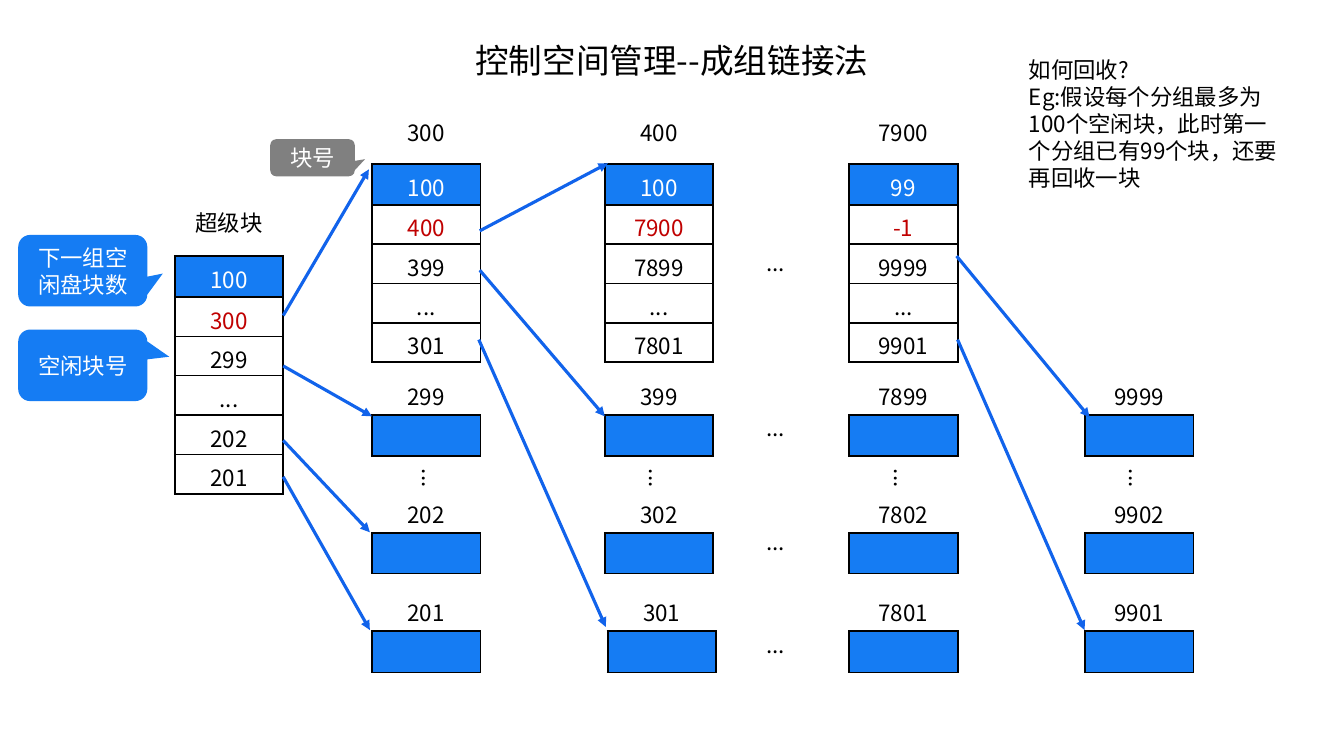
from dataclasses import dataclass

from lxml import etree
from pptx import Presentation
from pptx import util as u
from pptx.dml import color
from pptx.enum import shapes, text
from pptx.oxml import ns

FONT = "Noto Sans CJK SC"
BLUE, LINE, RED = "157CF3", "1163EB", "C00000"
GREY, BLACK, WHITE = "808080", "000000", "FFFFFF"
WIDE, HEAD, ROW = 77.5, 29.2, 28.1  # column width, first row, other rows
TOP = 117.2  # top of the index blocks


@dataclass
class Block:
    x: float
    y: float
    cells: list[str]
    label: str
    gap: float  # from label top to block top


@dataclass
class Note:
    x: float
    y: float
    w: float
    h: float
    lines: list[str]
    size: float = 16
    align: text.PP_ALIGN = text.PP_ALIGN.CENTER
    turn: float = 0


@dataclass
class Bubble:
    x: float
    y: float
    w: float
    h: float
    words: str
    tip: tuple[float, float]
    fill: str = BLUE


@dataclass
class Arrow:
    x1: float
    y1: float
    x2: float
    y2: float


def rgb(code: str) -> color.RGBColor:
    return color.RGBColor.from_string(code)


def add(parent, tag: str, **attrs: str):
    return etree.SubElement(parent, ns.qn(tag), attrs)


def style(para, hue: str, size: float = 16, align=text.PP_ALIGN.CENTER) -> None:
    para.alignment = align
    font = para.font
    font.size, font.name = u.Pt(size), FONT
    font.color.rgb = rgb(hue)
    add(para._p.pPr.find(ns.qn("a:defRPr")), "a:ea", typeface=FONT)


def write(slide, note: Note) -> None:
    box = slide.shapes.add_textbox(*map(u.Pt, (note.x, note.y, note.w, note.h)))
    box.rotation = note.turn
    frame = box.text_frame
    frame.word_wrap = True
    frame.text = "\n".join(note.lines)
    for para in frame.paragraphs:
        style(para, BLACK, note.size, note.align)


def edge(cell, widths: dict[str, float]) -> None:
    """Draw the cell borders, given in schema order."""
    props = cell._tc.get_or_add_tcPr()
    for side, width in widths.items():
        line = add(props, f"a:ln{side}", w=str(u.Pt(width)))
        add(add(line, "a:solidFill"), "a:srgbClr", val=BLACK)


def stack(slide, block: Block) -> None:
    """Draw a block as a one-column table with its number above."""
    count = len(block.cells)
    high = HEAD + ROW * (count - 1)
    table = slide.shapes.add_table(
        count, 1, *map(u.Pt, (block.x, block.y, WIDE, high))).table
    table.first_row = table.horz_banding = False
    for i, value in enumerate(block.cells):
        table.rows[i].height = u.Pt(ROW if i else HEAD)
        cell = table.cell(i, 0)
        cell.text = value
        cell.margin_bottom = 0
        cell.vertical_anchor = text.MSO_ANCHOR.MIDDLE
        style(cell.text_frame.paragraphs[0], (WHITE, RED)[i] if i < 2 else BLACK)
        thick = count > 1 and (i < 2 or i == count - 1)
        edge(cell, {"L": 1.5, "R": 1.5, "T": 1.5 if i < 3 else 1,
                    "B": 1.5 if thick else 1})
        cell.fill.solid()
        cell.fill.fore_color.rgb = rgb(WHITE if i else BLUE)
    write(slide, Note(block.x - 7.4, block.y - block.gap, 92.2, 26.6, [block.label]))


def call(slide, bub: Bubble) -> None:
    shape = slide.shapes.add_shape(
        shapes.MSO_SHAPE.ROUNDED_RECTANGULAR_CALLOUT,
        *map(u.Pt, (bub.x, bub.y, bub.w, bub.h)))
    shape.adjustments[0], shape.adjustments[1] = bub.tip
    shape.shadow.inherit = False
    shape.fill.solid()
    shape.fill.fore_color.rgb = rgb(bub.fill)
    shape.line.fill.background()
    frame = shape.text_frame
    frame.word_wrap = True
    frame.vertical_anchor = text.MSO_ANCHOR.MIDDLE
    frame.text = bub.words
    style(frame.paragraphs[0], WHITE)


def link(slide, arrow: Arrow) -> None:
    line = slide.shapes.add_connector(
        shapes.MSO_CONNECTOR.STRAIGHT,
        *map(u.Pt, (arrow.x1, arrow.y1, arrow.x2, arrow.y2)))
    line.line.color.rgb = rgb(LINE)
    line.line.width = u.Pt(2.25)
    props = line._element.spPr
    add(props.find(ns.qn("a:ln")), "a:tailEnd", type="triangle")
    add(props, "a:effectLst")


COLS = [265.7, 432, 606.5, 775]
ROWS = [296.5, 380.7, 451]
INDEX = [
    ("300", ["100", "400", "399", "...", "301"]),
    ("400", ["100", "7900", "7899", "...", "7801"]),
    ("7900", ["99", "-1", "9999", "...", "9901"]),
]
FREE = [("299", "202", "201"), ("399", "302", "301"),
        ("7899", "7802", "7801"), ("9999", "9902", "9901")]

BLOCKS = [Block(124.8, 183, ["100", "300", "299", "...", "202", "201"], "超级块", 36.8)]
BLOCKS += [Block(x, TOP, cells, label, 35.8) for x, (label, cells) in zip(COLS, INDEX)]
BLOCKS += [Block(x + (2 if label == "301" else 0), y, [""], label, 26.5)
           for x, names in zip(COLS, FREE) for y, label in zip(ROWS, names)]

NOTES = [
    Note(329, 25.2, 301.7, 36, ["控制空间管理--成组链接法"], size=24),
    Note(727.9, 36.7, 200.2, 104.4,
         ["如何回收?", "Eg:假设每个分组最多为100个空闲块，此时第一个分组已有99个块，还要再回收一块"],
         align=text.PP_ALIGN.LEFT),
]
NOTES += [Note(537.8, y, 32.4, 26.6, ["..."]) for y in (174.2, 292.3, 373.7, 447.1)]
NOTES += [Note(x, 328.3, 32.4, 26.6, ["..."], turn=90)
          for x in (291.6, 454.3, 628.6, 797)]

BUBBLES = [
    Bubble(13, 167.8, 92.2, 51.1, "下一组空闲盘块数", (0.62, 0.04)),
    Bubble(13, 235.4, 92.2, 51.1, "空闲块号", (0.67, -0.12)),
    Bubble(193, 99.4, 60.5, 26.6, "块号", (0.62, 0.04), GREY),
]

ARROWS = [
    Arrow(202.3, 225.4, 263.5, 121),
    Arrow(202.3, 261.4, 265.7, 297.4),
    Arrow(202.3, 314.6, 264.2, 380.2),
    Arrow(202.3, 340.6, 264.2, 450),
    Arrow(342.7, 164.9, 434.2, 116.6),
    Arrow(342.7, 193, 432, 297.4),
    Arrow(342, 242.6, 432.7, 447.8),
    Arrow(683.3, 182.9, 778.3, 298.1),
    Arrow(684, 242.6, 774.7, 450),
]


def main() -> None:
    deck = Presentation()
    deck.slide_width, deck.slide_height = u.Pt(960), u.Pt(540)
    slide = deck.slides.add_slide(deck.slide_layouts[6])
    for draw, items in ((stack, BLOCKS), (write, NOTES), (call, BUBBLES), (link, ARROWS)):
        for item in items:
            draw(slide, item)
    deck.save("out.pptx")


if __name__ == "__main__":
    main()
